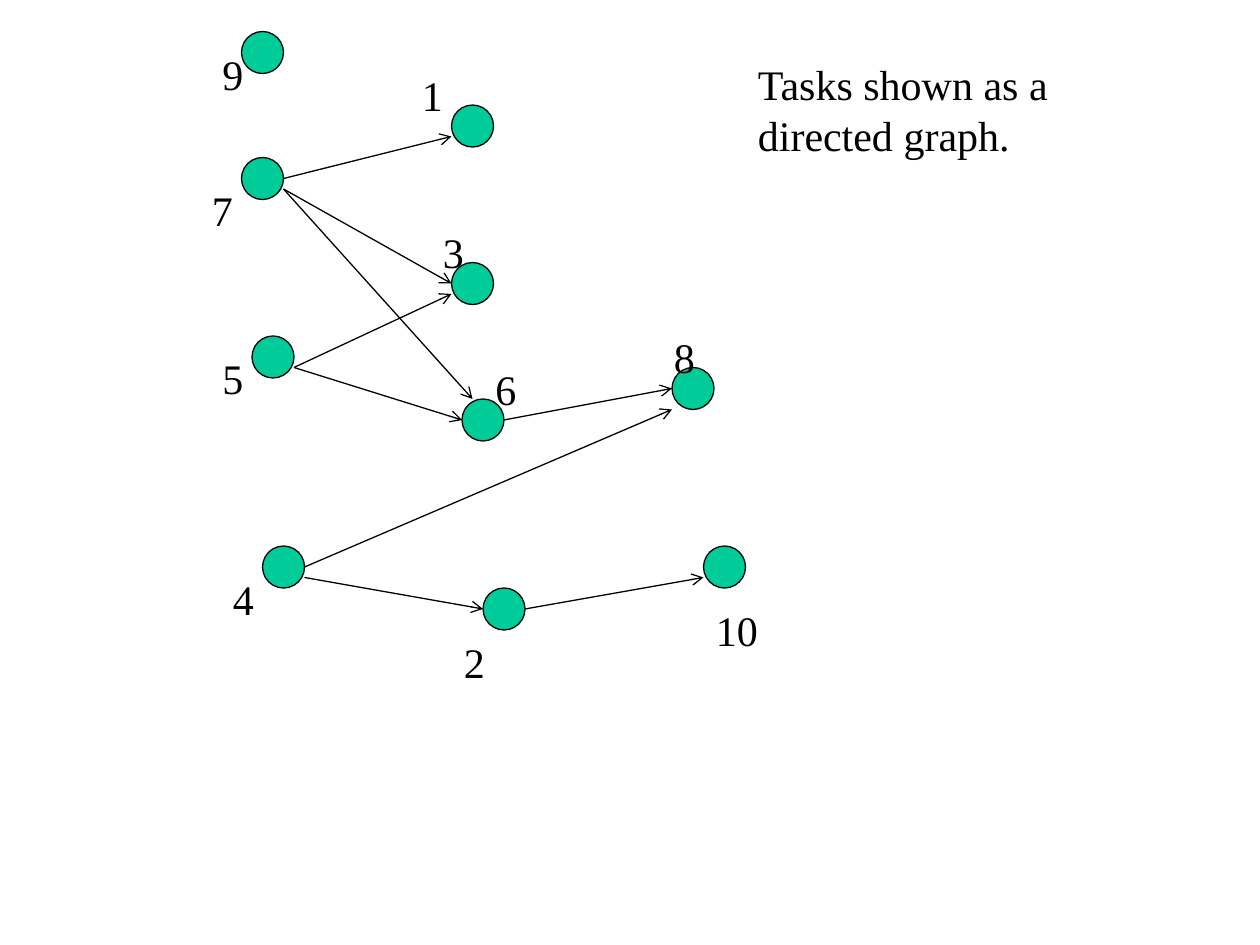
from dataclasses import dataclass

from lxml import etree
from pptx import Presentation
from pptx.dml.color import RGBColor
from pptx.enum.shapes import MSO_CONNECTOR, MSO_SHAPE
from pptx.enum.text import MSO_AUTO_SIZE
from pptx.oxml.ns import qn
from pptx.util import Pt

OVAL = MSO_SHAPE.OVAL
LINE = MSO_CONNECTOR.STRAIGHT
GROW = MSO_AUTO_SIZE.SHAPE_TO_FIT_TEXT


@dataclass(frozen=True)
class Theme:
    """Colours, type and line sizes of the slide."""
    ink: RGBColor = RGBColor(0, 0, 0)
    node: RGBColor = RGBColor(0, 0xCC, 0x99)
    font: str = "Times New Roman"
    size: float = 24
    line: float = 0.75
    dot: float = 24


THEME = Theme()

# Task: node left, top; label shift right, down, label width
TASKS = {
    7: (138, 90, -24, 12, 24),
    5: (144, 192, -24, 6, 30),
    4: (150, 312, -24, 12, 24),
    9: (138, 18, -18, 6, 24),
    8: (384, 210, -6, -24, 36),
    6: (264, 228, 12, -24, 24),
    10: (402, 312, 0, 30, 48),
    2: (276, 336, -18, 24, 36),
    1: (258, 60, -24, -24, 30),
    3: (258, 150, -12, -24, 30),
}

# From, to; drop at the start, shift right and down at the end
EDGES = [
    (7, 1, 12, 0, 18),
    (7, 3, 18, 0, 12),
    (7, 6, 18, 6, 0),
    (5, 3, 18, 0, 18),
    (5, 6, 18, 0, 12),
    (6, 8, 12, 0, 12),
    (4, 8, 12, 0, 24),
    (4, 2, 18, 0, 12),
    (2, 10, 12, 0, 18),
]


def add_text(slide, text, left, top, width, height):
    """Add a wrapped text box in the theme's type."""
    box = slide.shapes.add_textbox(Pt(left), Pt(top), Pt(width), Pt(height))
    frame = box.text_frame
    frame.word_wrap = True
    frame.auto_size = GROW
    frame.text = text
    font = frame.paragraphs[0].runs[0].font
    font.name = THEME.font
    font.size = Pt(THEME.size)
    font.color.rgb = THEME.ink


def add_node(slide, left, top):
    """Add one task circle."""
    dot = slide.shapes.add_shape(
        OVAL, Pt(left), Pt(top), Pt(THEME.dot), Pt(THEME.dot))
    dot.shadow.inherit = False
    dot.fill.solid()
    dot.fill.fore_color.rgb = THEME.node
    dot.line.color.rgb = THEME.ink
    dot.line.width = Pt(THEME.line)


def add_arrow(slide, x1, y1, x2, y2):
    """Add a line with an open arrowhead at its end."""
    edge = slide.shapes.add_connector(LINE, Pt(x1), Pt(y1), Pt(x2), Pt(y2))
    edge.line.color.rgb = THEME.ink
    edge.line.width = Pt(THEME.line)
    props = edge.line._get_or_add_ln()
    etree.SubElement(props, qn("a:tailEnd"), type="arrow")
    etree.SubElement(props.getparent(), qn("a:effectLst"))


def add_graph(slide, left, top):
    """Draw the task graph from its top left corner."""
    spots = {task: (left + row[0], top + row[1])
             for task, row in TASKS.items()}
    for x, y in spots.values():
        add_node(slide, x, y)
    for start, end, drop, right, down in EDGES:
        x1, y1 = spots[start]
        x2, y2 = spots[end]
        add_arrow(slide, x1 + THEME.dot, y1 + drop, x2 + right, y2 + down)
    for task, (x, y) in spots.items():
        right, down, width = TASKS[task][2:]
        add_text(slide, str(task), x + right, y + down, width, 36)


def main():
    """Build and save the slide."""
    deck = Presentation()
    deck.slide_width, deck.slide_height = Pt(720), Pt(540)
    slide = deck.slides.add_slide(deck.slide_layouts[6])
    add_graph(slide, 0, 0)
    add_text(slide, "Tasks shown as a directed graph.", 426, 30, 228, 65)
    deck.save("out.pptx")


if __name__ == "__main__":
    main()
